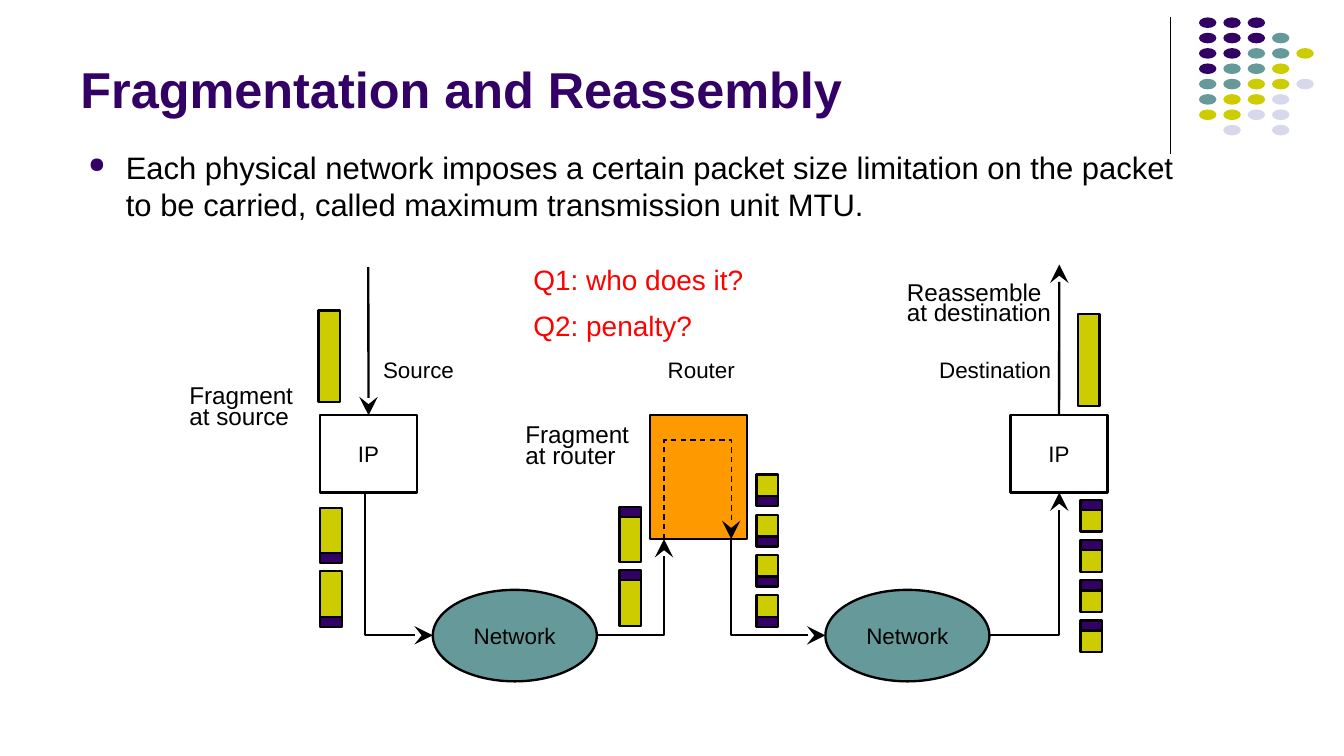
from dataclasses import dataclass

from lxml.etree import SubElement
from pptx import Presentation
from pptx.dml.color import RGBColor
from pptx.enum.dml import MSO_LINE
from pptx.enum.shapes import MSO_CONNECTOR, MSO_SHAPE
from pptx.enum.text import MSO_ANCHOR, MSO_AUTO_SIZE, PP_ALIGN
from pptx.oxml.ns import qn
from pptx.util import Cm, Pt


@dataclass(frozen=True)
class Theme:
    """Colours, font, type sizes and line widths of the slide."""

    purple: RGBColor = RGBColor(0x33, 0x00, 0x66)
    teal: RGBColor = RGBColor(0x66, 0x99, 0x99)
    olive: RGBColor = RGBColor(0xCC, 0xCC, 0x00)
    lavender: RGBColor = RGBColor(0xD8, 0xD8, 0xEC)
    orange: RGBColor = RGBColor(0xFF, 0x99, 0x00)
    red: RGBColor = RGBColor(0xFF, 0x00, 0x00)
    black: RGBColor = RGBColor(0x00, 0x00, 0x00)
    font: str = "Arial"
    title: float = 27
    body: float = 16.6
    question: float = 15
    note: float = 13
    label: float = 12
    stroke: float = 1.25
    thin: float = 0.75


THEME = Theme()
DOT_ROWS = ("PPP", "PPPT", "PPTTY", "PTTY", "TTYYL", "TYYL", "YYLL", " L L")
DOT_COLOURS = {"P": THEME.purple, "T": THEME.teal, "Y": THEME.olive, "L": THEME.lavender}
HEADER_HEIGHT = 0.19
PACKET_WIDTH = 0.41


def write_text(shape, text, *, size, colour=THEME.black, bold=False, align=PP_ALIGN.LEFT,
               anchor=MSO_ANCHOR.TOP, wrap=False, spacing=None, margins=(0, 0)):
    """Fill a shape with one formatted paragraph per line of text."""
    frame = shape.text_frame
    frame.auto_size = MSO_AUTO_SIZE.NONE
    frame.word_wrap = wrap
    frame.vertical_anchor = anchor
    frame.margin_left = frame.margin_right = Cm(margins[0])
    frame.margin_top = frame.margin_bottom = Cm(margins[1])
    frame.text = text
    for para in frame.paragraphs:
        para.alignment = align
        para.line_spacing = spacing
        for span in para.runs:
            span.font.name = THEME.font
            span.font.size = Pt(size)
            span.font.bold = bold
            span.font.color.rgb = colour


def add_text(page, text, left, top, width, height, **style):
    """Add a text box and return it."""
    box = page.shapes.add_textbox(Cm(left), Cm(top), Cm(width), Cm(height))
    write_text(box, text, **style)
    return box


def add_shape(page, kind, left, top, width, height, *, fill=None, outline=True, text=""):
    """Add a preset shape with an optional fill, outline and centred label."""
    shape = page.shapes.add_shape(kind, Cm(left), Cm(top), Cm(width), Cm(height))
    shape.shadow.inherit = False
    if fill is None:
        shape.fill.background()
    else:
        shape.fill.solid()
        shape.fill.fore_color.rgb = fill
    if outline:
        shape.line.color.rgb = THEME.black
        shape.line.width = Pt(THEME.stroke)
    else:
        shape.line.fill.background()
    if text:
        write_text(shape, text, size=THEME.label, align=PP_ALIGN.CENTER, anchor=MSO_ANCHOR.MIDDLE)
    return shape


def style_line(shape, *, width=THEME.stroke, arrow=False, dashed=False):
    """Format a stroke with an optional dash and arrowhead."""
    shape.line.color.rgb = THEME.black
    shape.line.width = Pt(width)
    if dashed:
        shape.line.dash_style = MSO_LINE.DASH
    if arrow:
        stroke = shape.element.spPr.find(qn("a:ln"))
        SubElement(stroke, qn("a:tailEnd"), type="stealth", w="lg", len="lg")


def add_line(page, start, end, **style):
    """Add a straight connector without a shadow."""
    line = page.shapes.add_connector(
        MSO_CONNECTOR.STRAIGHT, *(Cm(value) for value in (*start, *end)))
    style_line(line, **style)
    SubElement(line.element.spPr, qn("a:effectLst"))
    return line


def add_route(page, points, **style):
    """Add an open bent path with an optional arrowhead."""
    start, *rest = [(Cm(x), Cm(y)) for x, y in points]
    builder = page.shapes.build_freeform(*start)
    builder.add_line_segments(rest, close=False)
    route = builder.convert_to_shape()
    route.shadow.inherit = False
    route.fill.background()
    style_line(route, **style)


def add_fragments(page, left, top, *, count, step, data_height, header_first):
    """Stack fragments, each made of a header and a data part."""
    for index in range(count):
        y = top + index * step
        header_top, data_top = (y, y + HEADER_HEIGHT) if header_first else (y + data_height, y)
        add_shape(page, MSO_SHAPE.RECTANGLE, left, data_top, PACKET_WIDTH, data_height,
                  fill=THEME.olive)
        add_shape(page, MSO_SHAPE.RECTANGLE, left, header_top, PACKET_WIDTH, HEADER_HEIGHT,
                  fill=THEME.purple)


def add_ornament(page):
    """Add the divider and the grid of dots in the corner."""
    add_line(page, (22.12, 0.33), (22.12, 2.92), width=THEME.thin)
    for row, pattern in enumerate(DOT_ROWS):
        for column, code in enumerate(pattern):
            if code in DOT_COLOURS:
                add_shape(page, MSO_SHAPE.OVAL, 22.66 + column * 0.46, 0.33 + row * 0.29,
                          0.33, 0.2, fill=DOT_COLOURS[code], outline=False)


def add_title(page, text):
    """Place and format the title placeholder."""
    title = page.shapes.title
    title.left, title.top, title.width, title.height = Cm(1.27), Cm(0.25), Cm(20.95), Cm(2.13)
    write_text(title, text, size=THEME.title, colour=THEME.purple, bold=True,
               anchor=MSO_ANCHOR.BOTTOM, wrap=True, margins=(0.25, 0.13))


def add_bullet(page, text):
    """Add the bulleted statement below the title."""
    box = add_text(page, text, 1.42, 2.67, 21.26, 1.78, size=THEME.body, wrap=True,
                   margins=(0.25, 0.13))
    para = box.text_frame.paragraphs[0]
    para.space_before = Pt(4.5)
    props = para._p.get_or_add_pPr()
    props.set("marL", str(Cm(0.71)))
    props.set("indent", str(-Cm(0.71)))
    SubElement(SubElement(props, qn("a:buClr")), qn("a:srgbClr"), val=str(THEME.purple))
    SubElement(props, qn("a:buSzPct"), val="70000")
    SubElement(props, qn("a:buChar"), char="●")


def add_nodes(page):
    """Add the hosts, router and networks with the routes between them."""
    add_shape(page, MSO_SHAPE.RECTANGLE, 12.29, 7.85, 1.83, 2.34, fill=THEME.orange)
    source, destination = (
        add_shape(page, MSO_SHAPE.RECTANGLE, left, 7.85, 1.83, 1.46, text="IP")
        for left in (6.05, 19.1))
    for left in (8.18, 15.6):
        add_shape(page, MSO_SHAPE.OVAL, left, 11.15, 3.1, 1.73, fill=THEME.teal, text="Network")

    add_line(page, (6.96, 5.05), (6.96, 7.85), arrow=True).end_connect(source, 0)
    add_line(page, (20.02, 7.85), (20.02, 5), arrow=True).begin_connect(destination, 0)
    add_route(page, [(6.9, 9.31), (6.9, 12.01), (8.18, 12.01)], arrow=True)
    add_route(page, [(11.28, 12.01), (12.55, 12.01), (12.55, 10.19)], arrow=True)
    add_route(page, [(13.82, 10.19), (13.82, 12.01), (15.6, 12.01)], arrow=True)
    add_route(page, [(18.7, 12.01), (20.02, 12.01), (20.02, 9.31)], arrow=True)
    add_route(page, [(12.55, 10.19), (12.55, 8.32), (13.82, 8.32), (13.82, 10.19)],
              width=THEME.thin, arrow=True, dashed=True)


def add_packets(page):
    """Add the whole packets and their fragments along the way."""
    for left, top in ((6.02, 5.87), (20.37, 5.94)):
        add_shape(page, MSO_SHAPE.RECTANGLE, left, top, PACKET_WIDTH, 1.73, fill=THEME.olive)
    halves = {"count": 2, "step": 1.2, "data_height": 0.86}
    quarters = {"count": 4, "step": 0.76, "data_height": 0.41}
    add_fragments(page, 6.05, 9.6, header_first=False, **halves)
    add_fragments(page, 11.71, 9.58, header_first=True, **halves)
    add_fragments(page, 14.3, 8.97, header_first=False, **quarters)
    add_fragments(page, 20.42, 9.45, header_first=True, **quarters)


def add_labels(page):
    """Add the node names, the notes and the questions."""
    for text, left, width in (("Source", 7.24, 1.35), ("Router", 12.62, 1.27),
                              ("Destination", 17.75, 2.11)):
        add_text(page, text, left, 6.73, width, 0.51, size=THEME.label)
    for text, left, top, width in (("Fragment\nat source", 3.33, 7.21, 2.46),
                                   ("Fragment\nat router", 9.68, 7.95, 2.46),
                                   ("Reassemble\nat destination", 16.89, 5.26, 3.23)):
        add_text(page, text, left, top, width, 1.04, size=THEME.note, spacing=0.7,
                 margins=(0.25, 0.13))
    for text, top, width in (("Q1: who does it?", 4.83, 4.47), ("Q2: penalty?", 5.7, 3.51)):
        add_text(page, text, 9.83, top, width, 0.89, size=THEME.question, colour=THEME.red,
                 margins=(0.25, 0.13))


def main():
    """Build the slide and save the deck."""
    deck = Presentation()
    deck.slide_width, deck.slide_height = Cm(25.4), Cm(14.29)
    page = deck.slides.add_slide(deck.slide_layouts[5])
    add_ornament(page)
    add_title(page, "Fragmentation and Reassembly")
    add_nodes(page)
    add_packets(page)
    add_labels(page)
    add_bullet(page, "Each physical network imposes a certain packet size limitation on the "
                     "packet to be carried, called maximum transmission unit MTU.")
    deck.save("out.pptx")


if __name__ == "__main__":
    main()
